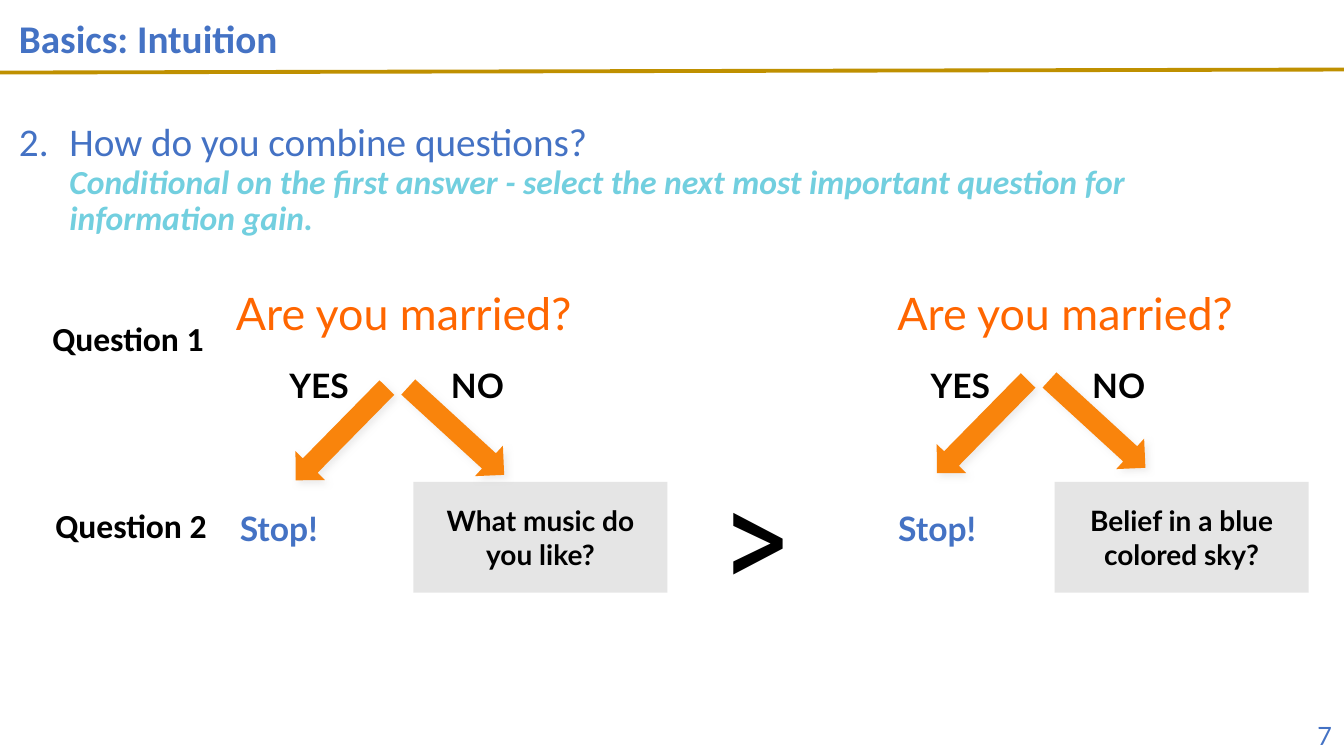
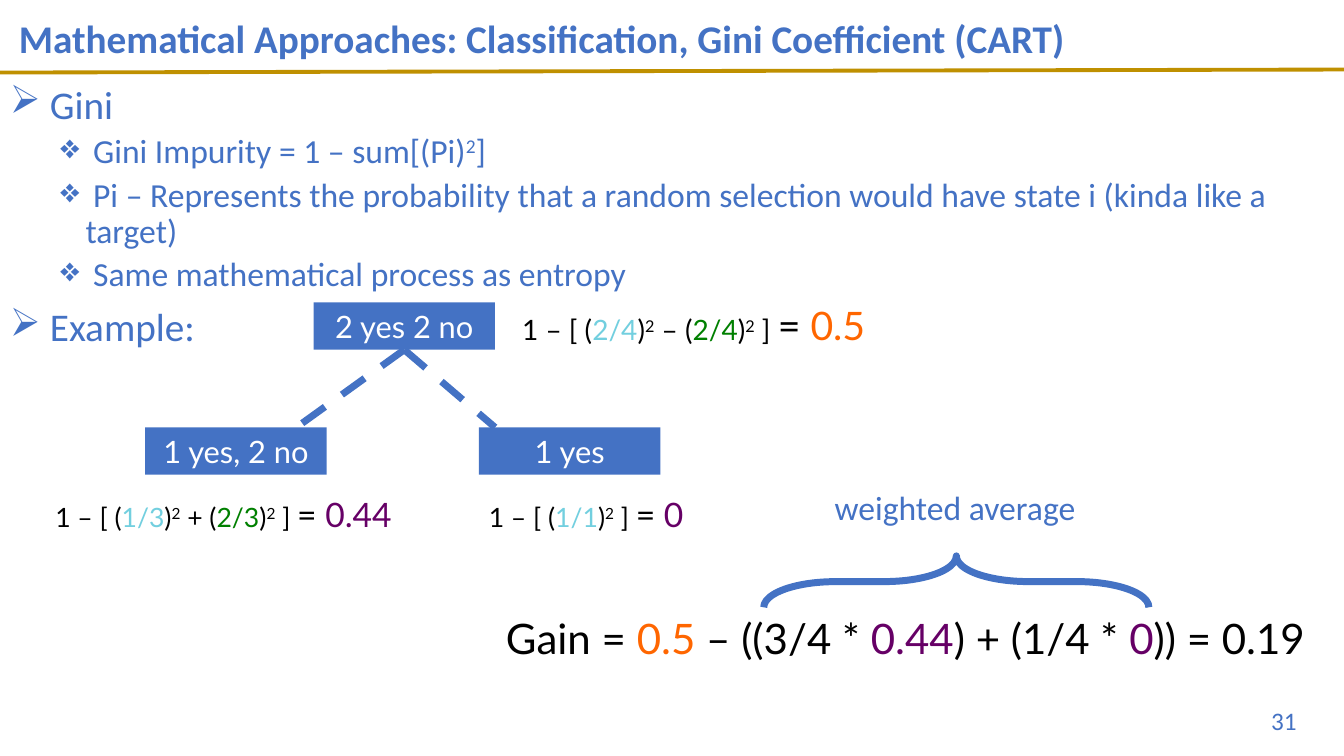
"""Builds two slides on decision trees: combining questions, and the Gini coefficient."""
from lxml import etree
from pptx import Presentation
from pptx.dml.color import RGBColor
from pptx.enum.dml import MSO_LINE
from pptx.enum.shapes import MSO_CONNECTOR, MSO_SHAPE
from pptx.enum.text import MSO_ANCHOR, PP_ALIGN
from pptx.oxml.ns import qn
from pptx.util import Emu, Pt

STRAIGHT = MSO_CONNECTOR.STRAIGHT
RECTANGLE, DOWN_ARROW, LEFT_BRACE = MSO_SHAPE.RECTANGLE, MSO_SHAPE.DOWN_ARROW, MSO_SHAPE.LEFT_BRACE
LEFT, CENTER, RIGHT = PP_ALIGN.LEFT, PP_ALIGN.CENTER, PP_ALIGN.RIGHT
TOP, MIDDLE = MSO_ANCHOR.TOP, MSO_ANCHOR.MIDDLE
DASH = MSO_LINE.DASH

PX = 9144
WIDTH, HEIGHT = 1333, 750
COLORS = {
    "blue": "4472C4", "gold": "BF9000", "sky": "72CFDF", "grey": "BFBFBF",
    "orange": "FF6600", "arrow": "F9840C", "shadow": "E7E6E6", "black": "000000",
    "white": "FFFFFF", "green": "008000", "purple": "660066",
}
HEADING, BODY, SYMBOL = "Calibri", "Lato", "Roboto Condensed"

# Runs are (text, color, size, flags): b bold, i italic, ^ superscript; None breaks the line.
INTUITION_TITLE = "Basics: Intuition"
COMBINE_RUNS = [
    ("How do you combine questions?", "blue", 28, ""),
    None,
    ("Conditional on the first answer - select the next most important question "
     "for information gain.", "sky", 24, "bi"),
]
STEP_LABELS = [("Question 1", 42, 310), ("Question 2", 45, 496)]
TREES = [
    {"left": 410, "question": 210, "stop": 200, "arrow_top": 366, "next": "What music do you like?"},
    {"left": 1046, "question": 866, "stop": 853, "arrow_top": 359, "next": "Belief in a blue colored sky?"},
]
ARROWS = [(-92, 0, 44.5), (22, -3, 312.5)]
ANSWERS = [("YES", -188, 189), ("NO", -1, 129)]

GINI_TITLE = "Mathematical Approaches: Classification, Gini Coefficient (CART)"
GINI_POINTS = [
    (0, [(" Gini", "blue", 28, "")]),
    (1, [(" Gini Impurity = 1 – sum[(Pi)", "blue", 24, ""), ("2", "blue", 24, "^"),
         ("]", "blue", 24, "")]),
    (1, [(" Pi – Represents the probability that a random selection would have state i "
          "(kinda like a target)", "blue", 24, "")]),
    (1, [(" Same mathematical process as entropy", "blue", 24, "")]),
    (0, [(" Example:", "blue", 28, "")]),
]
LEVELS = [("➢", 25, 10), ("❖", 75, 5)]
NODES = [("2 yes 2 no", 311, 300), ("1 yes, 2 no", 144, 424), ("1 yes", 475, 424)]
NODE_SIZE = (180, 47)
BRANCH_ENDS = [(294, 424), (491, 424)]
FORMULAS = [
    {"box": (45, 477, 377, 59), "size": 19, "terms": [("1/3", "sky"), ("2/3", "green")],
     "operator": " + (", "result": ("0.44", "purple", 24)},
    {"box": (475, 477, 216, 59), "size": 19, "terms": [("1/1", "sky")],
     "operator": "", "result": ("0", "purple", 24)},
    {"box": (508, 285, 471, 61), "size": 20, "terms": [("2/4", "sky"), ("2/4", "green")],
     "operator": " – (", "result": ("0.5", "orange", 28)},
]
GAIN_PARTS = [
    ("Gain = ", "black"), ("0.5 ", "orange"), ("– ((3/4 * ", "black"), ("0.44", "purple"),
    (") + (1/4 * ", "black"), ("0", "purple"), (")) = 0.19", "black"),
]


def color(name):
    return RGBColor.from_string(COLORS[name])


def place(*lengths):
    return [Emu(length * PX) for length in lengths]


def add_runs(paragraph, runs, font):
    for entry in runs:
        if entry is None:
            paragraph.add_line_break()
            continue
        text, color_name, size, flags = entry
        run = paragraph.add_run()
        run.text = text
        run.font.name = font
        run.font.size = Pt(size)
        run.font.bold = "b" in flags
        run.font.italic = "i" in flags
        run.font.color.rgb = color(color_name)
        if "^" in flags:
            run.font._element.set("baseline", "30000")


def write(shape, paragraphs, font=BODY, align=LEFT, anchor=TOP, spacing=None):
    frame = shape.text_frame
    frame.word_wrap = True
    frame.vertical_anchor = anchor
    for index, runs in enumerate(paragraphs):
        paragraph = frame.add_paragraph() if index else frame.paragraphs[0]
        paragraph.alignment = align
        paragraph.line_spacing = spacing
        add_runs(paragraph, runs, font)
    return frame.paragraphs


def add_text(slide, box, paragraphs, **style):
    return write(slide.shapes.add_textbox(*place(*box)), paragraphs, **style)


def add_bullet(paragraph, left, hanging, tag, **attributes):
    properties = paragraph._p.get_or_add_pPr()
    properties.set("marL", str(left * PX))
    properties.set("indent", str(-hanging * PX))
    etree.SubElement(properties, qn(tag), attributes)


def add_shape(slide, preset, box, fill=None, line=None, rotation=0):
    shape = slide.shapes.add_shape(preset, *place(*box))
    shape.shadow.inherit = False
    shape.rotation = rotation
    if fill:
        shape.fill.solid()
        shape.fill.fore_color.rgb = color(fill)
    else:
        shape.fill.background()
    if line:
        shape.line.color.rgb = color(line)
        shape.line.width = Pt(5)
    else:
        shape.line.fill.background()
    return shape


def add_line(slide, start, end, color_name, width):
    connector = slide.shapes.add_connector(STRAIGHT, *place(*start, *end))
    connector.line.color.rgb = color(color_name)
    connector.line.width = Pt(width)
    etree.SubElement(connector._element.spPr, qn("a:effectLst"))
    return connector


def set_alpha(color_element, percent):
    etree.SubElement(color_element, qn("a:alpha"), val=str(percent * 1000))


def add_shadow(shape):
    effects = shape._element.spPr.find(qn("a:effectLst"))
    shadow = etree.SubElement(effects, qn("a:outerShdw"), blurRad=str(Pt(5)), dist=str(Pt(3)),
                              dir="2700000", algn="tl", rotWithShape="0")
    set_alpha(etree.SubElement(shadow, qn("a:srgbClr"), val=COLORS["shadow"]), 75)


def add_slide(presentation, title, number, number_box, number_font):
    slide = presentation.slides.add_slide(presentation.slide_layouts[6])
    add_line(slide, (0, 72), (WIDTH, 69), "gold", 2.75)
    add_text(slide, (9, 0, 1186, 80), [[(title, "blue", 28, "b")]],
             font=HEADING, anchor=MIDDLE, spacing=0.9)
    add_text(slide, number_box, [[(number, "blue", 18, "")]], font=number_font, align=RIGHT)
    return slide


def add_tree(slide, tree):
    left = tree["left"]
    add_text(slide, (tree["question"], 279, 381, 64),
             [[("Are you married?", "orange", 32, "")]], align=CENTER)
    for offset, rise, rotation in ARROWS:
        box = (left + offset, tree["arrow_top"] + rise, 41, 129)
        add_shadow(add_shape(slide, DOWN_ARROW, box, fill="arrow", rotation=rotation))
    for answer, offset, width in ANSWERS:
        add_text(slide, (left + offset, 357, width, 50),
                 [[(answer, "black", 24, "b")]], align=CENTER)
    add_text(slide, (tree["stop"], 499, 153, 50), [[("Stop!", "blue", 24, "b")]], align=CENTER)
    card = add_shape(slide, RECTANGLE, (left, 478, 252, 110), fill="grey")
    set_alpha(card._element.spPr.find(".//" + qn("a:srgbClr")), 40)
    write(card, [[(tree["next"], "black", 20, "b")]], align=CENTER, anchor=MIDDLE)


def formula_runs(size, terms, operator, result):
    result_text, result_color, result_size = result
    runs = [("1 – [ (", "black", size, "")]
    for index, (term, term_color) in enumerate(terms):
        if index:
            runs.append((operator, "black", size, ""))
        runs += [(term, term_color, size, ""), (")", "black", size, ""), ("2", "black", size, "^")]
    return runs + [(" ] ", "black", size, ""), ("= ", "black", result_size, ""),
                   (result_text, result_color, result_size, "")]


def build_intuition(presentation):
    slide = add_slide(presentation, INTUITION_TITLE, "7", (1020, 710, 311, 40), BODY)
    paragraphs = add_text(slide, (9, 117, 1150, 130), [COMBINE_RUNS], font=HEADING, spacing=0.9)
    add_bullet(paragraphs[0], 50, 50, "a:buAutoNum", type="arabicPeriod", startAt="2")
    for label, left, top in STEP_LABELS:
        add_text(slide, (left, top, 185, 50), [[(label, "black", 24, "b")]], font=HEADING)
    for tree in TREES:
        add_tree(slide, tree)
    add_text(slide, (670, 440, 161, 178), [[(">", "black", 100, "")]], font=SYMBOL, align=CENTER)


def build_gini(presentation):
    slide = add_slide(presentation, GINI_TITLE, "31", (996, 695, 300, 40), HEADING)
    paragraphs = add_text(slide, (0, 80, 1308, 280), [runs for _, runs in GINI_POINTS],
                          font=HEADING, spacing=0.9)
    for index, (level, _) in enumerate(GINI_POINTS):
        symbol, left, space = LEVELS[level]
        add_bullet(paragraphs[index], left, 25, "a:buChar", char=symbol)
        paragraphs[index].level = level
        paragraphs[index].space_before = Pt(space if index else 0)
    nodes = []
    for label, left, top in NODES:
        node = add_shape(slide, RECTANGLE, (left, top, *NODE_SIZE), fill="blue")
        write(node, [[(label, "white", 22, "")]], align=CENTER, anchor=MIDDLE)
        nodes.append(node)
    for end in BRANCH_ENDS:
        branch = add_line(slide, (401, 347), end, "blue", 5)
        branch.line.dash_style = DASH
        branch.begin_connect(nodes[0], 2)
    for formula in FORMULAS:
        runs = formula_runs(formula["size"], formula["terms"], formula["operator"], formula["result"])
        add_text(slide, formula["box"], [runs], spacing=1.2)
    add_text(slide, (492, 603, 841, 61), [[(text, name, 30, "") for text, name in GAIN_PARTS]])
    add_text(slide, (818, 478, 261, 50), [[("weighted average", "blue", 24, "")]], font=HEADING)
    brace = add_shape(slide, LEFT_BRACE, (923, 386, 51, 382), line="blue", rotation=90)
    brace.adjustments[0] = 1.4
    brace.adjustments[1] = 0.5


def main():
    presentation = Presentation()
    presentation.slide_width, presentation.slide_height = place(WIDTH, HEIGHT)
    build_intuition(presentation)
    build_gini(presentation)
    presentation.save("out.pptx")


if __name__ == "__main__":
    main()
